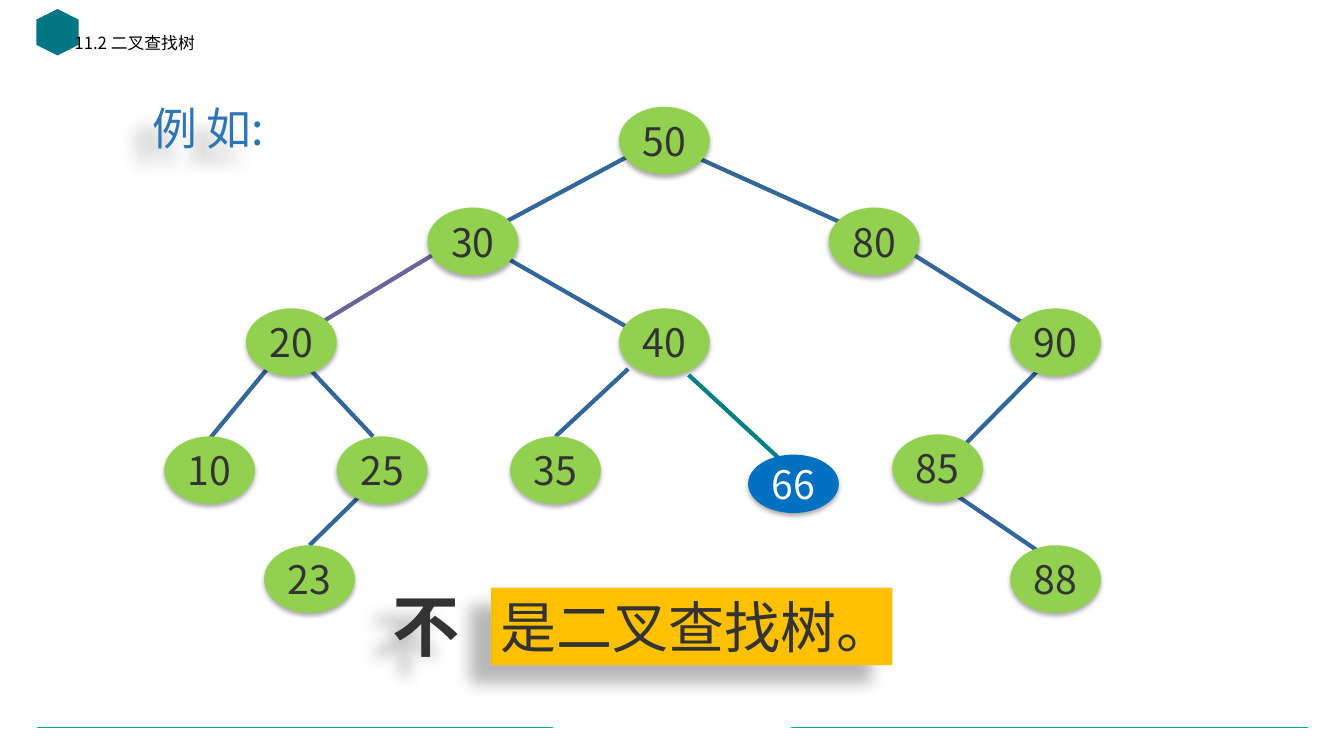
from lxml import etree
from pptx import Presentation
from pptx import util as u
from pptx.dml import color
from pptx.enum import shapes, text
from pptx.oxml import ns

FONT = "Noto Sans CJK SC"
DARK, GREEN, BLUE, TEAL = "333333", "92D050", "0070C0", "00ABA5"
EDGE = "336699"
NODE_WIDTH, NODE_HEIGHT = 0.9, 0.67

# Shadows: opacity %, blur, distance (points), direction (degrees)
NODE_SHADOW = (32, 3.5, 2.2, 90)
TEXT_SHADOW = (28, 11.8, 19.7, 141)

# Key: left, top
NODES = {
    "50": (6.14, 1.06),
    "30": (4.24, 2.06), "80": (8.22, 2.06),
    "20": (2.44, 3.06), "40": (6.14, 3.06), "90": (10.02, 3.06),
    "10": (1.63, 4.33), "25": (3.34, 4.33), "35": (5.06, 4.33), "85": (8.85, 4.31),
    "23": (2.62, 5.41), "88": (10.02, 5.41),
}

# Parent, child: start x, start y, end x, end y
EDGES = {
    ("50", "80"): (6.95, 1.58, 8.39, 2.23),
    ("50", "30"): (6.25, 1.54, 4.96, 2.23),
    ("30", "20"): (4.34, 2.5, 3.17, 3.21),
    ("30", "40"): (5.06, 2.58, 6.23, 3.25),
    ("20", "10"): (2.65, 3.66, 2.04, 4.4),
    ("20", "25"): (3.07, 3.66, 3.7, 4.33),
    ("25", "23"): (3.61, 4.88, 3.07, 5.41),
    ("40", "35"): (6.23, 3.66, 5.51, 4.33),
    ("80", "90"): (8.97, 2.47, 10.22, 3.25),
    ("90", "85"): (10.35, 3.62, 9.57, 4.41),
    ("85", "88"): (9.48, 4.91, 10.33, 5.49),
}
EDGE_COLOURS = {("30", "20"): "666699"}


def rgb(value):
    return color.RGBColor.from_string(value)


def apply_format(target, values):
    for name, value in values.items():
        setattr(target, name, value)


def add_effects(shape, shadow=None):
    """Give the shape its own effect list, with an outer shadow if asked."""
    effects = etree.SubElement(shape._element.spPr, ns.qn("a:effectLst"))
    if shadow:
        opacity, blur, distance, direction = shadow
        outer = etree.SubElement(
            effects, ns.qn("a:outerShdw"), blurRad=str(u.Pt(blur)),
            dist=str(u.Pt(distance)), dir=str(direction * 60000),
            algn="ctr", rotWithShape="0")
        black = etree.SubElement(outer, ns.qn("a:srgbClr"), val="000000")
        etree.SubElement(black, ns.qn("a:alpha"), val=str(opacity * 1000))


def add_line(slide, ends, colour, width):
    line = slide.shapes.add_connector(
        shapes.MSO_CONNECTOR.STRAIGHT, *map(u.Inches, ends))
    line.line.color.rgb = rgb(colour)
    line.line.width = u.Pt(width)
    add_effects(line)


def write(shape, words, size, colour, frame=None, paragraph_format=None, bold=False):
    apply_format(shape.text_frame, {"word_wrap": True, **(frame or {})})
    paragraph = shape.text_frame.paragraphs[0]
    apply_format(paragraph, {"alignment": text.PP_ALIGN.LEFT, **(paragraph_format or {})})
    run = paragraph.add_run()
    run.text = words
    run.font.color.rgb = rgb(colour)
    apply_format(run.font, {"size": u.Pt(size), "name": FONT, "bold": bold})
    etree.SubElement(run.font._element, ns.qn("a:ea"), typeface=FONT)


def add_filled(slide, kind, box, fill, shadow=None):
    shape = slide.shapes.add_shape(kind, *map(u.Inches, box))
    shape.fill.solid()
    shape.fill.fore_color.rgb = rgb(fill)
    shape.line.fill.background()
    add_effects(shape, shadow)
    return shape


def add_label(slide, box, words, size, colour, shadow=None, **formats):
    label = slide.shapes.add_textbox(*map(u.Inches, box))
    add_effects(label, shadow)
    write(label, words, size, colour, **formats)


def add_node(slide, key, box, fill=GREEN, colour=DARK):
    node = add_filled(slide, shapes.MSO_SHAPE.OVAL, box, fill, NODE_SHADOW)
    write(node, key, 28, colour,
          frame={"word_wrap": False, "vertical_anchor": text.MSO_ANCHOR.MIDDLE},
          paragraph_format={"alignment": text.PP_ALIGN.CENTER})


def main():
    presentation = Presentation()
    presentation.slide_width = u.Inches(13.33)
    presentation.slide_height = u.Inches(7.5)
    slide = presentation.slides.add_slide(presentation.slide_layouts[6])

    # Footer rules and header mark
    for left, right in ((0.37, 5.48), (7.85, 12.97)):
        add_line(slide, (left, 7.22, right, 7.22), TEAL, 0.5)
    mark = add_filled(slide, shapes.MSO_SHAPE.HEXAGON, (0.34, 0.11, 0.46, 0.42), "007684")
    mark.rotation = 90

    # Headings
    add_label(slide, (0.64, 0.3, 5.32, 0.36), "11.2 二叉查找树", 12, "000000",
              paragraph_format={"line_spacing": 0.9, "space_before": u.Pt(10)})
    add_label(slide, (1.24, 1.06, 1.65, 0.53), "例 如:", 32, "2E75B6", TEXT_SHADOW,
              frame={"vertical_anchor": text.MSO_ANCHOR.BOTTOM},
              paragraph_format={"alignment": text.PP_ALIGN.CENTER, "line_spacing": 0.9})

    # Tree: edges lie behind the nodes
    for pair, ends in EDGES.items():
        add_line(slide, ends, EDGE_COLOURS.get(pair, EDGE), 3)
    for key, corner in NODES.items():
        add_node(slide, key, (*corner, NODE_WIDTH, NODE_HEIGHT))

    # The node that breaks the order
    add_line(slide, (6.83, 3.72, 7.87, 4.68), "008080", 3)
    add_node(slide, "66", (7.42, 4.51, NODE_WIDTH, 0.58), BLUE, "FFFFFF")

    # Conclusion
    add_label(slide, (3.79, 5.75, 1.01, 0.91), "不", 48, DARK, TEXT_SHADOW, bold=True)
    banner = add_filled(slide, shapes.MSO_SHAPE.RECTANGLE, (4.87, 5.83, 3.98, 0.77),
                        "FFC000", TEXT_SHADOW)
    write(banner, "是二叉查找树。", 40, DARK,
          frame={"vertical_anchor": text.MSO_ANCHOR.TOP})

    presentation.save("out.pptx")


if __name__ == "__main__":
    main()
